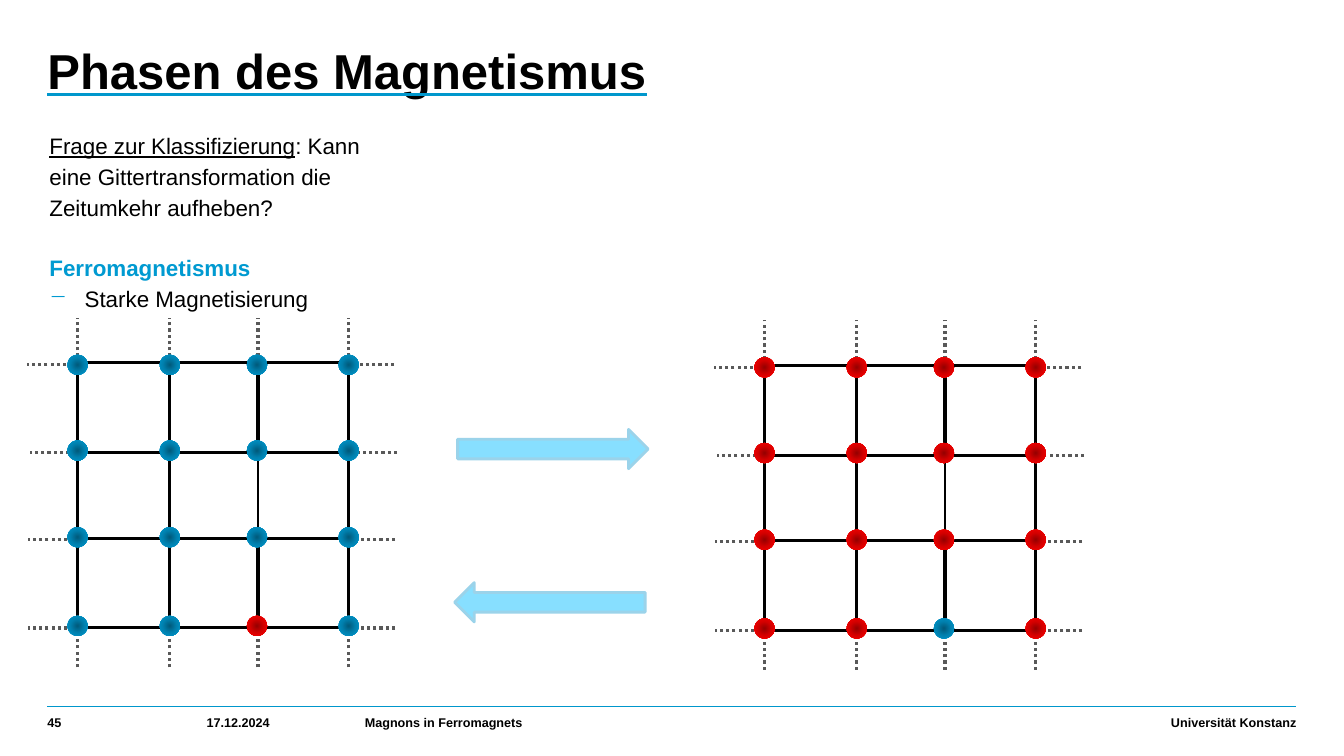
from pptx import Presentation
from pptx import util as u
from pptx.dml import color
from pptx.enum import dml, shapes, text
from pptx.oxml import parse_xml
from pptx.oxml import ns

COLUMNS, ROWS = 133.33, 75
CELL = u.Inches(0.1)
COLORS = {
    "black": "000000", "grey": "595959", "rule": "0097CC", "accent": "009AD1",
    "arrow": "87DFFF", "arrow edge": "9BD3EA",
}
SPINS = {
    "up": ("005B7C", "0082B0", "009AD1"),
    "down": ("970000", "D70000", "FF0000"),
}
FRAME = {
    "word_wrap": True, "auto_size": text.MSO_AUTO_SIZE.NONE,
    "margin_left": 0, "margin_top": 0, "margin_right": 0, "margin_bottom": 0,
}
TOP = FRAME | {"vertical_anchor": text.MSO_ANCHOR.TOP}
FOOTER = FRAME | {"vertical_anchor": text.MSO_ANCHOR.BOTTOM, "margin_bottom": u.Inches(0.06)}
SMALL = {"size": u.Pt(9), "bold": True}
BODY = {"size": u.Pt(16)}
LEFT = {"alignment": text.PP_ALIGN.LEFT}
RIGHT = {"alignment": text.PP_ALIGN.RIGHT}
LOOSE = LEFT | {"line_spacing": 1.15}

NODES_X = (7.7, 16.85, 25.5, 34.6)
NODES_Y = (36.2, 44.7, 53.3, 62.1)
BONDS_X = (7.7, 16.8, 25.6, 34.6)
BONDS_Y = (36, 44.9, 53.4, 62.3)
TAILS_Y = (36.2, 44.9, 53.5, 62.3)
TAILS_X = (2.7, 3, 2.8, 2.8)
TAIL = 4.5
FLIPPED = (2, 3)


def apply(target, values):
    for name, value in values.items():
        setattr(target, name, value)


def rgb(name):
    return color.RGBColor.from_string(COLORS[name])


class Sheet:
    def __init__(self, deck):
        self.page = deck.slides.add_slide(deck.slide_layouts[5])
        self.target = self.page.shapes

    def place(self, *cells):
        return [round(cell * CELL) for cell in cells]

    def words(self, para, wording, font, tint="black"):
        span = para.add_run()
        span.text = wording
        apply(span.font, {"name": "Arial"} | font)
        span.font.color.rgb = rgb(tint)
        return span

    def title(self, wording, cells):
        box = self.page.shapes.title
        apply(box, dict(zip(("left", "top", "width", "height"), self.place(*cells))))
        apply(box.text_frame, TOP)
        para = box.text_frame.paragraphs[0]
        apply(para, LEFT | {"line_spacing": 0.95})
        span = self.words(para, wording, {"size": u.Pt(35), "bold": True, "underline": True})
        underline = parse_xml(
            f'<a:uFill {ns.nsdecls("a")}><a:solidFill><a:srgbClr val="{COLORS["rule"]}"/>'
            "</a:solidFill></a:uFill>")
        span.font._element.find(ns.qn("a:latin")).addprevious(underline)

    def text(self, cells, frame):
        box = self.page.shapes.add_textbox(*self.place(*cells))
        apply(box.text_frame, frame)
        return box.text_frame

    def footer(self, wording, left, width, layout=LEFT):
        para = self.text((left, 70.6, width, 2.4), FOOTER).paragraphs[0]
        apply(para, layout)
        self.words(para, wording, SMALL)

    def bullet(self, para, sign, tint):
        props = para._p.get_or_add_pPr()
        apply(para, {"level": 1})
        props.set("marL", str(u.Inches(0.35)))
        props.set("indent", str(-u.Inches(0.35)))
        for tag, inner in (("buClr", f'><a:srgbClr val="{COLORS[tint]}"/></a:buClr>'),
                           ("buChar", f' char="{sign}"/>')):
            props.append(parse_xml(f'<a:{tag} {ns.nsdecls("a")}{inner}'))

    def line(self, cells, tint="black", weight=2.25, dash=None):
        link = self.target.add_connector(shapes.MSO_CONNECTOR.STRAIGHT, *self.place(*cells))
        link.line.color.rgb = rgb(tint)
        apply(link.line, {"width": u.Pt(weight), "dash_style": dash})
        link._element.spPr.append(parse_xml(f'<a:effectLst {ns.nsdecls("a")}/>'))

    def dotted(self, *cells):
        self.line(cells, "grey", dash=dml.MSO_LINE.ROUND_DOT)

    def shape(self, kind, cells, fill=None, edge=None):
        figure = self.target.add_shape(kind, *self.place(*cells))
        figure.shadow.inherit = False
        if fill:
            figure.fill.solid()
            figure.fill.fore_color.rgb = rgb(fill)
        else:
            figure.fill.background()
        if edge:
            figure.line.color.rgb = rgb(edge)
            figure.line.width = u.Pt(2)
        else:
            figure.line.fill.background()
        return figure

    def spin(self, x, y, state):
        ball = self.shape(shapes.MSO_SHAPE.OVAL, (x - 1, y - 1, 2, 2))
        stops = "".join(
            f'<a:gs pos="{index * 50000}"><a:srgbClr val="{tone}"/></a:gs>'
            for index, tone in enumerate(SPINS[state]))
        gradient = parse_xml(
            f'<a:gradFill {ns.nsdecls("a")} rotWithShape="1"><a:gsLst>{stops}</a:gsLst>'
            '<a:path path="circle"><a:fillToRect l="50000" t="50000" r="50000" b="50000"/>'
            "</a:path></a:gradFill>")
        props = ball._element.spPr
        props.replace(props.find(ns.qn("a:noFill")), gradient)

    def lattice(self, dx, dy, state, other):
        self.target = self.page.shapes.add_group_shape().shapes
        xs = [x + dx for x in BONDS_X]
        ys = [y + dy for y in BONDS_Y]
        for left, y in zip(TAILS_X, TAILS_Y):
            for x in (left + dx, left + dx + 31.9):
                self.dotted(x + TAIL, y + dy, x, y + dy)
        for x in xs:
            for y in (ys[0], ys[-1] + 3.9):
                self.dotted(x, y, x, y - TAIL)
        for first, last in ((0, 3), (1, 2)):
            self.shape(shapes.MSO_SHAPE.RECTANGLE,
                       (xs[first], ys[first], xs[last] - xs[first], ys[last] - ys[first]),
                       edge="black")
        for inner in (1, 2):
            for start in (0, 2):
                self.line((xs[inner], ys[start], xs[inner], ys[start + 1]))
                self.line((xs[start], ys[inner], xs[start + 1], ys[inner]))
        for row, y in enumerate(NODES_Y):
            for column, x in enumerate(NODES_X):
                self.spin(x + dx, y + dy, other if (column, row) == FLIPPED else state)
        self.target = self.page.shapes


def main():
    deck = Presentation()
    deck.slide_width, deck.slide_height = round(COLUMNS * CELL), ROWS * CELL
    sheet = Sheet(deck)

    sheet.line((4.7, 70.1, 128.6, 70.1), "rule", 1)
    sheet.title("Phasen des Magnetismus", (4.7, 4.4, 92.4, 8.9))

    frame = sheet.text((4.9, 12.7, 34.9, 50.4), TOP)
    question, heading, feature = frame.paragraphs[0], frame.add_paragraph(), frame.add_paragraph()
    for para in (question, heading, feature):
        apply(para, LOOSE)
    heading.space_before = u.Pt(21)
    sheet.words(question, "Frage zur Klassifizierung", BODY | {"underline": True})
    sheet.words(question, ": Kann eine Gittertransformation die Zeitumkehr aufheben?", BODY)
    sheet.words(heading, "Ferromagnetismus", BODY | {"bold": True}, "accent")
    sheet.bullet(feature, "−", "accent")
    sheet.words(feature, "Starke Magnetisierung", BODY)

    sheet.footer("45", 4.7, 13.6)
    sheet.footer("17.12.2024", 20.5, 13.7)
    sheet.footer("Magnons in Ferromagnets", 36.2, 63)
    sheet.footer("Universität Konstanz", 83.5, 45.1, RIGHT)

    sheet.lattice(0, 0, "up", "down")
    for left, top, turn in ((45.4, 42.6, 0), (45.1, 57.8, 180)):
        arrow = sheet.shape(shapes.MSO_SHAPE.RIGHT_ARROW, (left, top, 18.9, 3.9),
                            "arrow", "arrow edge")
        arrow.rotation = turn
    sheet.lattice(68.15, 0.25, "down", "up")

    deck.save("out.pptx")


if __name__ == "__main__":
    main()
